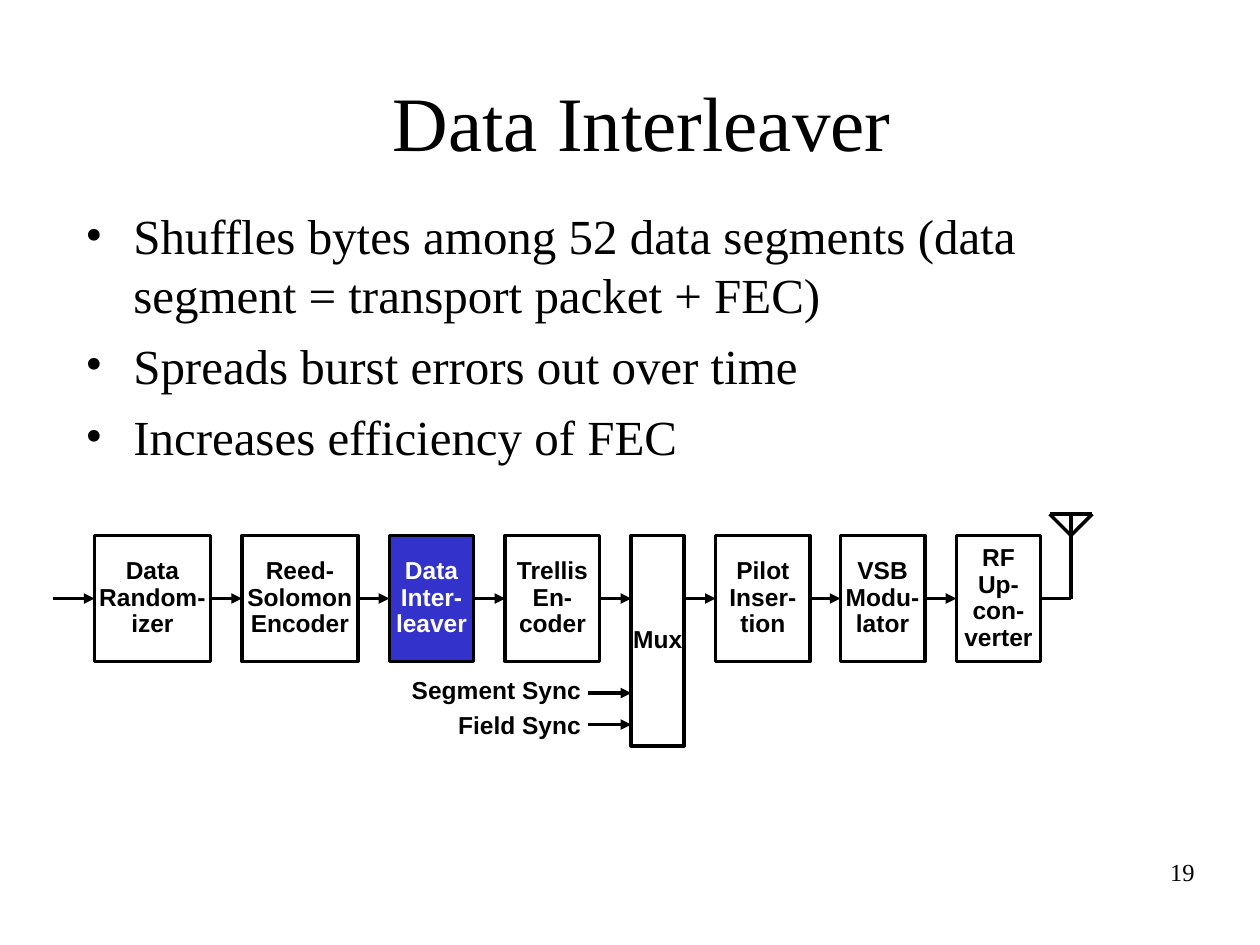
from itertools import pairwise
from typing import Any, NamedTuple

from lxml.etree import SubElement
from pptx import Presentation
from pptx.dml.color import RGBColor
from pptx.enum.shapes import MSO_CONNECTOR, MSO_SHAPE
from pptx.enum.text import MSO_ANCHOR, MSO_AUTO_SIZE, PP_ALIGN
from pptx.oxml.ns import qn
from pptx.util import Inches, Pt

HUES = {"ink": "000000", "paper": "FFFFFF", "focus": "3333CC"}
SERIF = {"name": "Times New Roman", "bold": False}
LABEL = {"name": "Arial", "size": Pt(14), "bold": True}
FRAME = {"auto_size": MSO_AUTO_SIZE.NONE, "word_wrap": True,
         "vertical_anchor": MSO_ANCHOR.TOP}
LOOSE = {**FRAME, "word_wrap": False, "vertical_anchor": MSO_ANCHOR.MIDDLE}

TOP, FLOW = 4.25, 4.75
MAST = 8.5  # x of the antenna mast
ARM, TIP = 0.17, 4.08


class Block(NamedTuple):
    left: float
    width: float
    lines: list[str]
    height: float = 1
    fill: str = "paper"
    ink: str = "ink"


class Wire(NamedTuple):
    x1: float
    y1: float
    x2: float
    y2: float
    arrow: bool = False


BLOCKS = [
    Block(0.75, 0.92, ["Data", "Random-", "izer"]),
    Block(1.92, 0.92, ["Reed-", "Solomon", "Encoder"]),
    Block(3.09, 0.67, ["Data", "Inter-", "leaver"], fill="focus", ink="paper"),
    Block(4.01, 0.75, ["Trellis", "En-", "coder"]),
    Block(5.01, 0.42, ["Mux"], height=1.67),
    Block(5.68, 0.75, ["Pilot", "Inser-", "tion"]),
    Block(6.67, 0.67, ["VSB", "Modu-", "lator"]),
    Block(7.59, 0.67, ["RF", "Up-", "con-", "verter"]),
]
POINTS = [
    "Shuffles bytes among 52 data segments (data segment = transport packet + FEC)",
    "Spreads burst errors out over time",
    "Increases efficiency of FEC",
]


def color(name: str) -> RGBColor:
    return RGBColor.from_string(HUES[name])


def apply(item: Any, form: dict) -> None:
    for key, value in form.items():
        setattr(item, key, value)


def write(shape: Any, lines: list[str], frame: dict, para: dict,
          font: dict, ink: str = "ink", bullet: bool = False,
          gap: float = 0) -> None:
    """Fill a shape with one paragraph per line; gap is the points between."""
    body = shape.text_frame
    apply(body, frame)
    for i, text in enumerate(lines):
        p = body.paragraphs[0] if i == 0 else body.add_paragraph()
        apply(p, {**para, "space_before": Pt(gap if i else 0)})
        if bullet:
            props = p._p.get_or_add_pPr()
            props.set("marL", str(Inches(0.38)))
            props.set("indent", str(-Inches(0.38)))
            SubElement(props, qn("a:buFont"), typeface="Times New Roman")
            SubElement(props, qn("a:buChar"), char="•")
        run = p.add_run()
        run.text = text
        apply(run.font, font)
        run.font.color.rgb = color(ink)


def add_text(slide: Any, box: tuple, lines: list[str], frame: dict,
             para: dict, font: dict, **more: Any) -> None:
    shape = slide.shapes.add_textbox(*map(Inches, box))
    write(shape, lines, frame, para, font, **more)


def add_block(slide: Any, block: Block) -> None:
    box = map(Inches, (block.left, TOP, block.width, block.height))
    shape = slide.shapes.add_shape(MSO_SHAPE.RECTANGLE, *box)
    shape.shadow.inherit = False
    shape.fill.solid()
    shape.fill.fore_color.rgb = color(block.fill)
    shape.line.color.rgb = color("ink")
    shape.line.width = Pt(2)
    write(shape, block.lines, LOOSE,
          {"alignment": PP_ALIGN.CENTER, "line_spacing": 0.9}, LABEL, block.ink)


def add_wire(slide: Any, wire: Wire) -> None:
    ends = map(Inches, wire[:4])
    line = slide.shapes.add_connector(MSO_CONNECTOR.STRAIGHT, *ends)
    line.line.color.rgb = color("ink")
    line.line.width = Pt(2)
    if wire.arrow:
        SubElement(line.line._get_or_add_ln(), qn("a:tailEnd"), type="triangle")
    SubElement(line._element.spPr, qn("a:effectLst"))


def main() -> None:
    deck = Presentation()
    deck.slide_width, deck.slide_height = Inches(10), Inches(7.5)
    slide = deck.slides.add_slide(deck.slide_layouts[5])

    title = slide.shapes.title
    apply(title, {"left": Inches(0.42), "top": Inches(0.33),
                  "width": Inches(9.35), "height": Inches(1.25)})
    write(title, ["Data Interleaver"],
          {**FRAME, "vertical_anchor": MSO_ANCHOR.MIDDLE},
          {"alignment": PP_ALIGN.CENTER}, {**SERIF, "size": Pt(44)})
    add_text(slide, (0.58, 1.58, 8.58, 2.33), POINTS, FRAME, {},
             {**SERIF, "size": Pt(28)}, bullet=True, gap=7)

    for block in BLOCKS:
        add_block(slide, block)

    first, mux, last = BLOCKS[0], BLOCKS[4], BLOCKS[-1]
    wires = [Wire(first.left - 0.33, FLOW, first.left, FLOW, True)]
    wires += [Wire(a.left + a.width, FLOW, b.left, FLOW, True)
              for a, b in pairwise(BLOCKS)]
    wires += [Wire(mux.left - 0.34, y, mux.left, y, True) for y in (5.5, 5.75)]
    wires += [
        Wire(last.left + last.width, FLOW, MAST, FLOW),
        Wire(MAST, FLOW, MAST, TIP),
        Wire(MAST - ARM, TIP, MAST + ARM, TIP),
        Wire(MAST - ARM, TIP, MAST, TOP),
        Wire(MAST + ARM, TIP, MAST, TOP),
    ]
    for wire in wires:
        add_wire(slide, wire)

    right = {"alignment": PP_ALIGN.RIGHT}
    add_text(slide, (3.17, 5.33, 1.54, 0.59), ["Segment Sync", "Field Sync"],
             LOOSE, {**right, "line_spacing": 0.9}, LABEL, gap=5)
    add_text(slide, (7.5, 6.75, 2.08, 0.5), ["19"], FRAME, right,
             {**SERIF, "size": Pt(14)})
    deck.save("out.pptx")


if __name__ == "__main__":
    main()
